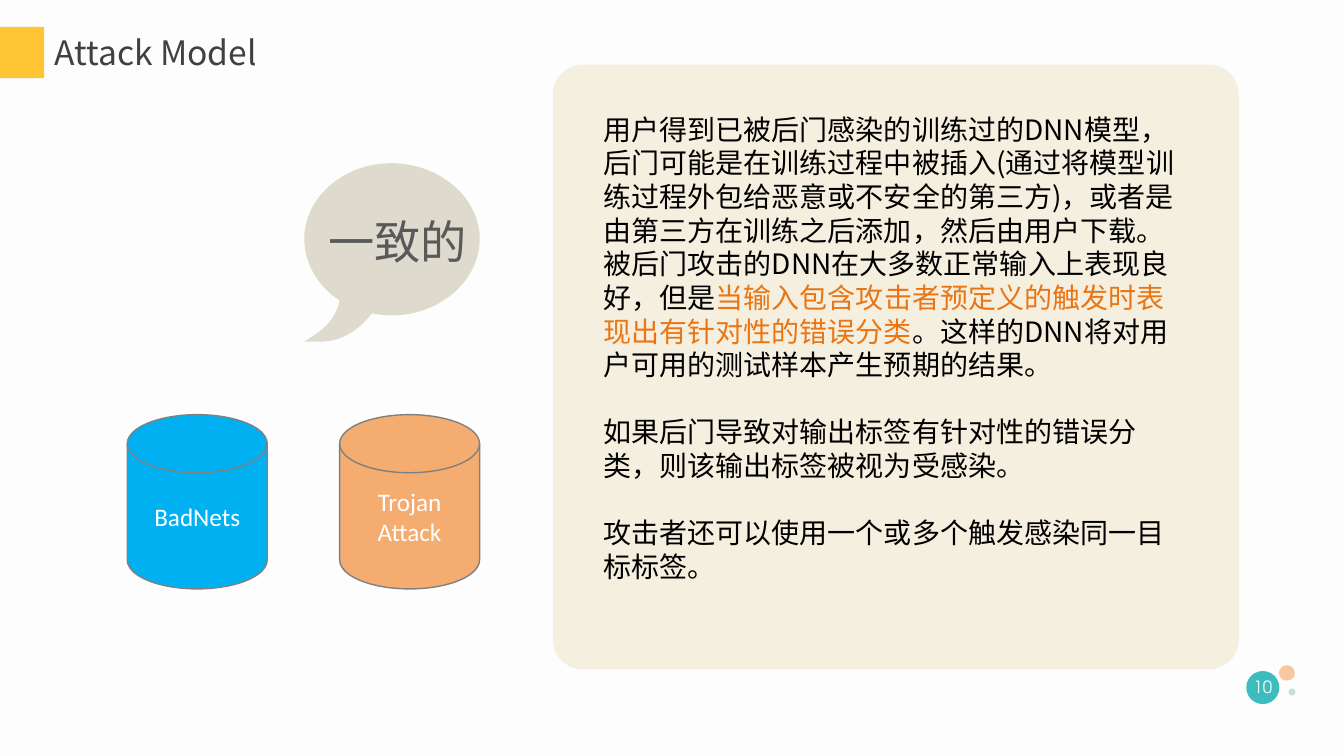
from lxml.etree import SubElement
from pptx import Presentation
from pptx.dml.color import RGBColor
from pptx.enum.shapes import MSO_SHAPE
from pptx.enum.text import MSO_ANCHOR, MSO_AUTO_SIZE, PP_ALIGN
from pptx.oxml.ns import qn
from pptx.util import Pt

BACKGROUND = RGBColor(0xFD, 0xFD, 0xFD)
BLACK = RGBColor(0, 0, 0)
WHITE = RGBColor(0xFF, 0xFF, 0xFF)
TITLE_GRAY = RGBColor(0x40, 0x40, 0x40)
BUBBLE_GRAY = RGBColor(0x59, 0x59, 0x59)
OUTLINE_GRAY = RGBColor(0x80, 0x80, 0x80)
YELLOW = RGBColor(0xFF, 0xC5, 0x35)
CREAM = RGBColor(0xF4, 0xEF, 0xDF)
SAND = RGBColor(0xDE, 0xDA, 0xCD)
ORANGE = RGBColor(0xEB, 0x75, 0x13)
BLUE = RGBColor(0x00, 0xB0, 0xF0)
APRICOT = RGBColor(0xF4, 0xAC, 0x71)
TEAL = RGBColor(0x3D, 0xBC, 0xC0)
PEACH = RGBColor(0xF7, 0xC8, 0xA0)
MIST = RGBColor(0xC8, 0xDF, 0xDF)

# Each paragraph is a list of (text, highlighted) spans
BODY = [
    [("用户得到已被后门感染的训练过的DNN模型，后门可能是在训练过程中被插入"
      "(通过将模型训练过程外包给恶意或不安全的第三方)，或者是由第三方在训练之后添加，"
      "然后由用户下载。被后门攻击的DNN在大多数正常输入上表现良好，但是", False),
     ("当输入包含攻击者预定义的触发时表现出有针对性的错误分类", True),
     ("。这样的DNN将对用户可用的测试样本产生预期的结果。", False)],
    [("如果后门导致对输出标签有针对性的错误分类，则该输出标签被视为受感染。", False)],
    [("攻击者还可以使用一个或多个触发感染同一目标标签。", False)],
]

# Speech bubble: start point, then cubic curves (two controls and an end)
BUBBLE_START = (279.4, 116.6)
BUBBLE_CURVES = [
    ((245.5, 116.6), (217.4, 141.1), (217.4, 170.6)),
    ((217.4, 187.9), (226.8, 204.5), (242.6, 214.6)),
    ((241.9, 218.9), (239, 229.7), (226.1, 238.3)),
    ((217.4, 244.1), (217.4, 244.1), (217.4, 244.1)),
    ((228.2, 244.1), (228.2, 244.1), (228.2, 244.1)),
    ((249.8, 244.1), (261.4, 229), (265.7, 223.9)),
    ((270, 224.6), (275, 225.4), (279.4, 225.4)),
    ((313.9, 225.4), (342.7, 200.9), (342.7, 170.6)),
    ((342.7, 141.1), (313.9, 116.6), (279.4, 116.6)),
]


class SlideBuilder:
    font = "Noto Sans CJK SC"
    line_factor = 1.2

    def __init__(self, deck):
        self.page = deck.slides.add_slide(deck.slide_layouts[5])
        fill = self.page.background.fill
        fill.solid()
        fill.fore_color.rgb = BACKGROUND

    def paint(self, shape, color, outline=None):
        shape.shadow.inherit = False
        shape.fill.solid()
        shape.fill.fore_color.rgb = color
        if outline is None:
            shape.line.fill.background()
        else:
            shape.line.color.rgb = outline
            shape.line.width = Pt(1)

    def style(self, para, size, color, font=None, align=PP_ALIGN.LEFT, exact=True):
        para.alignment = align
        para.font.size = Pt(size)
        para.font.color.rgb = color
        para.font.name = font or self.font
        properties = para.font._element
        SubElement(properties, qn("a:ea")).set("typeface", self.font)
        # Keep closing punctuation inside the margin
        properties.getparent().set("hangingPunct", "0")
        if exact:
            para.line_spacing = Pt(size * self.line_factor)

    def title(self, text, left, top, width, height):
        box = self.page.shapes.title
        box.left, box.top, box.width, box.height = map(Pt, (left, top, width, height))
        frame = box.text_frame
        frame.text = text
        frame.word_wrap = False
        frame.auto_size = MSO_AUTO_SIZE.NONE
        frame.vertical_anchor = MSO_ANCHOR.TOP
        self.style(frame.paragraphs[0], 24, TITLE_GRAY)

    def shape(self, kind, left, top, width, height, color, outline=None):
        shape = self.page.shapes.add_shape(kind, *map(Pt, (left, top, width, height)))
        self.paint(shape, color, outline)
        return shape

    def cylinder(self, text, left, color):
        disk = self.shape(MSO_SHAPE.FLOWCHART_MAGNETIC_DISK, left, 296.2, 100, 124.5,
                          color, OUTLINE_GRAY)
        frame = disk.text_frame
        frame.text = text
        frame.word_wrap = True
        frame.vertical_anchor = MSO_ANCHOR.MIDDLE
        self.style(frame.paragraphs[0], 18, WHITE, "Calibri", PP_ALIGN.CENTER, exact=False)

    def text(self, paragraphs, left, top, width, height, size, color, font=None,
             align=PP_ALIGN.LEFT, anchor=MSO_ANCHOR.TOP, wrap=True, exact=True):
        box = self.page.shapes.add_textbox(*map(Pt, (left, top, width, height)))
        frame = box.text_frame
        frame.word_wrap = wrap
        frame.vertical_anchor = anchor
        for index, spans in enumerate(paragraphs):
            para = frame.add_paragraph() if index else frame.paragraphs[0]
            self.style(para, size, color, font, align, exact)
            if index:
                para.space_before = Pt(size * self.line_factor)
            for words, highlighted in spans:
                span = para.add_run()
                span.text = words
                if highlighted:
                    span.font.color.rgb = ORANGE

    def bubble(self, start, curves, color):
        points = [tuple(map(Pt, point)) for curve in curves for point in curve]
        builder = self.page.shapes.build_freeform(*map(Pt, start), scale=1.0)
        builder.add_line_segments(points, close=True)
        shape = builder.convert_to_shape()
        self.paint(shape, color)
        # Turn every three line segments into one cubic curve
        segments = list(shape._element.iter(qn("a:lnTo")))
        for first in range(0, len(curves) * 3, 3):
            curve = segments[first].makeelement(qn("a:cubicBezTo"))
            segments[first].addprevious(curve)
            for segment in segments[first:first + 3]:
                curve.append(segment[0])
                segment.getparent().remove(segment)


def main():
    deck = Presentation()
    deck.slide_width, deck.slide_height = Pt(960), Pt(540)
    slide = SlideBuilder(deck)

    # Page number with its dots
    for left, top, width, height, color in (
            (890.2, 479.3, 23.6, 23.6, TEAL),
            (913.5, 475.2, 11.5, 11, PEACH),
            (920.4, 491.8, 5, 5, MIST)):
        slide.shape(MSO_SHAPE.OVAL, left, top, width, height, color)
    slide.text([[("10", False)]], 885, 476, 34, 29, 12, WHITE, "TeX Gyre Adventor",
               PP_ALIGN.CENTER, MSO_ANCHOR.MIDDLE, exact=False)

    # Heading
    slide.shape(MSO_SHAPE.RECTANGLE, 0, 19.3, 31.5, 36.5, YELLOW)
    slide.title("Attack Model", 31.7, 19.4, 180, 36.7)

    # Description panel
    panel = slide.shape(MSO_SHAPE.ROUNDED_RECTANGLE, 394.9, 46.2, 490, 432, CREAM)
    panel.adjustments[0] = 0.05
    slide.text(BODY, 424, 76.7, 433, 346.3, 20, BLACK)

    # Speech bubble
    slide.bubble(BUBBLE_START, BUBBLE_CURVES, SAND)
    slide.text([[("一致的", False)]], 227.5, 149, 114.5, 47.5, 33, BUBBLE_GRAY, "Arial",
               wrap=False)

    # Attacks
    for text, left, color in (("BadNets", 90.9, BLUE), ("Trojan Attack", 242.6, APRICOT)):
        slide.cylinder(text, left, color)

    deck.save("out.pptx")


if __name__ == "__main__":
    main()
